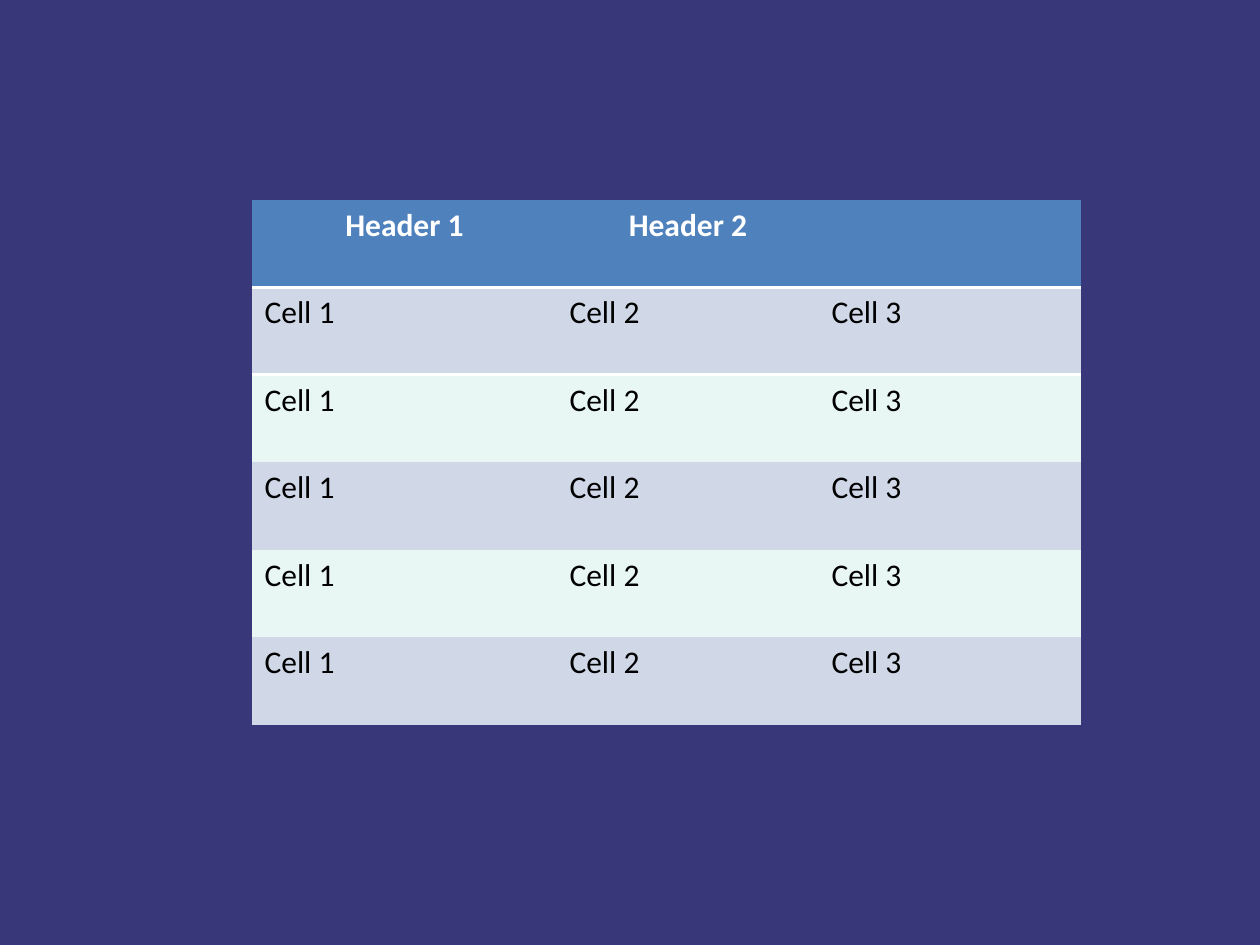
import pptx
import pptx.dml.color
import pptx.enum.text
import pptx.oxml
import pptx.oxml.ns
import pptx.util

RGBColor = pptx.dml.color.RGBColor
PP_ALIGN = pptx.enum.text.PP_ALIGN

NAVY = RGBColor(0x37, 0x37, 0x7A)
BLUE = RGBColor(0x4F, 0x81, 0xBD)
LAVENDER = RGBColor(0xD0, 0xD8, 0xE8)
MINT = RGBColor(0xE9, 0xF7, 0xF4)
WHITE = RGBColor(0xFF, 0xFF, 0xFF)
BLACK = RGBColor(0x00, 0x00, 0x00)

PX_PER_INCH = 126
PLAIN_TABLE_STYLE = "{2D5ABB26-0587-4C30-8999-92F81FD0307C}"
HEADER_FORMAT = {"bold": True, "color": WHITE, "align": PP_ALIGN.CENTER}
BODY_FORMAT = {"bold": False, "color": BLACK, "align": PP_ALIGN.LEFT}


def px(length):
    """Convert px to EMU."""
    return pptx.util.Emu(round(length * 914400 / PX_PER_INCH))


class SlideBuilder:
    def __init__(self, presentation, background):
        self.font = {"name": "Calibri", "size": pptx.util.Pt(18)}
        self.slide = presentation.slides.add_slide(presentation.slide_layouts[6])
        fill = self.slide.background.fill
        fill.solid()
        fill.fore_color.rgb = background

    def table(self, left, top, column_widths, height, rows):
        frame = self.slide.shapes.add_table(
            len(rows), len(column_widths),
            px(left), px(top), px(sum(column_widths)), px(height))
        for style in frame.element.iter(pptx.oxml.ns.qn("a:tableStyleId")):
            style.text = PLAIN_TABLE_STYLE
        table = frame.table
        for column, width in zip(table.columns, column_widths):
            column.width = px(width)
        for row_index, texts in enumerate(rows):
            for column_index, text in enumerate(texts):
                cell = table.cell(row_index, column_index)
                if row_index == 0:
                    self.cell(cell, text, BLUE, HEADER_FORMAT)
                else:
                    band = LAVENDER if row_index % 2 else MINT
                    self.cell(cell, text, band, BODY_FORMAT)
                if row_index < 2:
                    self.border(cell, "lnT" if row_index else "lnB", WHITE, 2)

    def cell(self, cell, text, color, text_format):
        cell.fill.solid()
        cell.fill.fore_color.rgb = color
        cell.text = text
        paragraph = cell.text_frame.paragraphs[0]
        paragraph.alignment = text_format["align"]
        font_values = {**self.font, "bold": text_format["bold"]}
        for name, value in font_values.items():
            setattr(paragraph.font, name, value)
        paragraph.font.color.rgb = text_format["color"]
        for run in paragraph.runs:
            for name, value in font_values.items():
                setattr(run.font, name, value)
            run.font.color.rgb = text_format["color"]

    def border(self, cell, side, color, points):
        line = pptx.oxml.parse_xml(
            f'<a:{side} {pptx.oxml.ns.nsdecls("a")} w="{pptx.util.Pt(points)}">'
            f'<a:solidFill><a:srgbClr val="{color}"/></a:solidFill></a:{side}>')
        cell._tc.get_or_add_tcPr().insert(0, line)


def main():
    presentation = pptx.Presentation()
    presentation.slide_width = px(1260)
    presentation.slide_height = px(945)
    builder = SlideBuilder(presentation, NAVY)
    header = ["Header 1", "Header 2", ""]
    body = [["Cell 1", "Cell 2", "Cell 3"]] * 5
    builder.table(252, 200, [305, 262, 262], 525, [header, *body])
    presentation.save("out.pptx")


if __name__ == "__main__":
    main()
